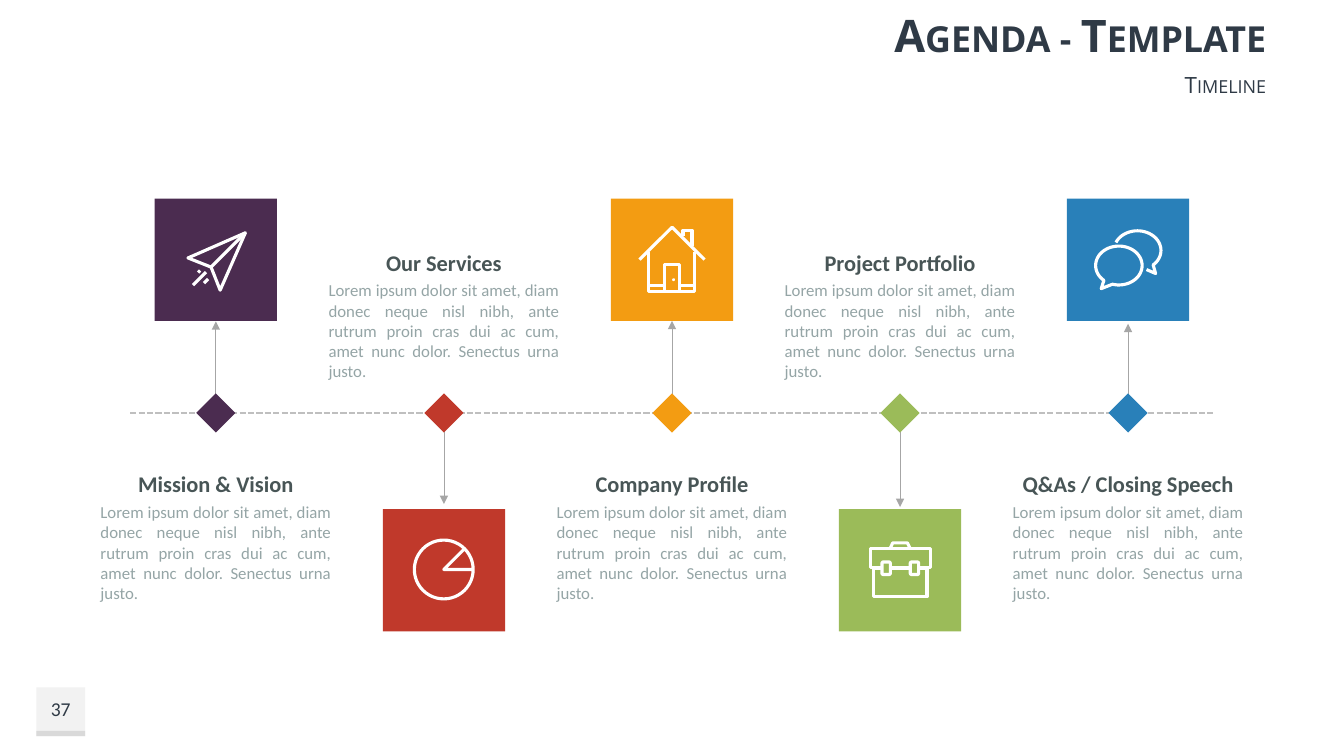
import dataclasses
import math

import lxml.etree
import pptx
import pptx.dml.color
import pptx.enum.dml
import pptx.enum.shapes
import pptx.enum.text
import pptx.oxml.ns
import pptx.util

Pt = pptx.util.Pt
SHAPE = pptx.enum.shapes.MSO_SHAPE
ALIGN = pptx.enum.text.PP_ALIGN
ANCHOR = pptx.enum.text.MSO_ANCHOR


@dataclasses.dataclass(frozen=True)
class Theme:
    title_font: str = "Open Sans"
    body_font: str = "Calibri"
    title_size: int = 32
    heading_size: int = 16
    number_size: int = 14
    body_size: int = 12
    ink: str = "2F3A46"
    heading: str = "485556"
    body: str = "95A5A6"
    axis: str = "BFBFBF"
    arrow: str = "A6A6A6"
    badge: str = "F2F2F2"
    badge_edge: str = "D9D9D9"
    icon: str = "FFFFFF"
    icon_line: float = 2.25
    purple: str = "4B2C50"
    red: str = "C0392B"
    orange: str = "F39C12"
    green: str = "9BBB59"
    blue: str = "2980B9"


def rgb(value):
    return pptx.dml.color.RGBColor.from_string(value)


def arc(center_x, center_y, radius_x, radius_y, start, end):
    angles = [math.radians(degree) for degree in range(start, end + 1, 6)]
    return [(center_x + radius_x * math.cos(angle), center_y + radius_y * math.sin(angle))
            for angle in angles]


class Page:
    def __init__(self, slide, theme):
        self.shapes = slide.shapes
        self.theme = theme

    def shape(self, kind, left, top, width, height, fill, line=None):
        box = self.shapes.add_shape(kind, Pt(left), Pt(top), Pt(width), Pt(height))
        box.shadow.inherit = False
        box.fill.solid()
        box.fill.fore_color.rgb = rgb(fill)
        if line:
            box.line.color.rgb = rgb(line)
            box.line.width = Pt(self.theme.icon_line)
        else:
            box.line.fill.background()

    def text(self, content, left, top, width, height, size, color, align, font=None,
             bold=False, small_caps=False, inset=3.6, anchor=ANCHOR.TOP, wrap=True, before=0):
        box = self.shapes.add_textbox(Pt(left), Pt(top), Pt(width), Pt(height))
        frame = box.text_frame
        frame.word_wrap = wrap
        frame.vertical_anchor = anchor
        frame.margin_left = frame.margin_right = Pt(inset)
        frame.margin_top = frame.margin_bottom = Pt(min(inset, 3.6))
        para = frame.paragraphs[0]
        para.text = content
        para.alignment = align
        para.space_before = Pt(before)
        para.font.name = font or self.theme.body_font
        para.font.size = Pt(size)
        para.font.bold = bold
        para.font.color.rgb = rgb(color)
        if small_caps:
            para.font._element.set("cap", "small")

    def line(self, start, end, color, width, dash=None, arrow=False):
        connector = self.shapes.add_connector(
            pptx.enum.shapes.MSO_CONNECTOR.STRAIGHT, *[Pt(value) for value in (*start, *end)])
        connector.line.color.rgb = rgb(color)
        connector.line.width = Pt(width)
        if dash:
            connector.line.dash_style = dash
        if arrow:
            stroke = connector.line._get_or_add_ln()
            lxml.etree.SubElement(stroke, pptx.oxml.ns.qn("a:tailEnd"), type="triangle")
        lxml.etree.SubElement(connector._element.spPr, pptx.oxml.ns.qn("a:effectLst"))

    def outline(self, origin, points, closed=False):
        corners = [(Pt(origin[0] + x), Pt(origin[1] + y)) for x, y in points]
        builder = self.shapes.build_freeform(*corners[0])
        builder.add_line_segments(corners[1:], close=closed)
        figure = builder.convert_to_shape()
        figure.shadow.inherit = False
        figure.fill.background()
        figure.line.color.rgb = rgb(self.theme.icon)
        figure.line.width = Pt(self.theme.icon_line)

    def framed(self, kind, origin, left, top, width, height, fill):
        self.shape(kind, origin[0] + left, origin[1] + top, width, height, fill, self.theme.icon)

    def plane(self, origin, fill):
        nose, fold = (64.8, 24.5), (40.3, 49)
        self.outline(origin, [nose, (23.8, 42.5), fold, (46.8, 65.5)], closed=True)
        for stroke in ([nose, fold], [(27.4, 61.9), (36.7, 52.6)],
                       [(35.3, 60.5), (38.2, 57.6)], [(31, 52.8), (32.4, 51.4)]):
            self.outline(origin, stroke)

    def pie(self, origin, fill):
        self.framed(SHAPE.OVAL, origin, 22.6, 22.2, 42, 42, fill)
        self.outline(origin, [(58, 28.8), (43.6, 43.2), (64.6, 43.2)])

    def house(self, origin, fill):
        self.outline(origin, [(27, 38), (27, 66.6), (60, 66.6), (60, 38)])
        self.outline(origin, [(20.5, 43.6), (43.8, 20.5), (67, 43.6)])
        self.outline(origin, [(51.5, 27), (51.5, 22.7), (58, 22.7), (58, 34)])
        self.outline(origin, [(27, 62.3), (60, 62.3)])
        self.framed(SHAPE.RECTANGLE, origin, 38.5, 47.2, 10.8, 19.4, fill)
        self.shape(SHAPE.OVAL, origin[0] + 43.8, origin[1] + 57, 2, 2, self.theme.icon)

    def briefcase(self, origin, fill):
        self.framed(SHAPE.RECTANGLE, origin, 24.8, 42.1, 38.2, 20.5, fill)
        self.framed(SHAPE.RECTANGLE, origin, 22.7, 28.4, 42.5, 13.7, fill)
        for left in (30.8, 51):
            self.framed(SHAPE.ROUNDED_RECTANGLE, origin, left, 37.8, 6, 9, fill)
        self.outline(origin, [(36.7, 28), (38.5, 24.2), (49, 24.2), (50.8, 28)])

    def bubbles(self, origin, fill):
        self.outline(origin, arc(37.1, 47.9, 16.6, 13.9, 130, 466) + [(24.5, 64.4)], closed=True)
        self.outline(origin, arc(50.4, 37.1, 16.8, 14, 204, 410) + [(63.4, 53.6), (56.9, 50.8)])

    def step(self, center, heading, heading_width, color, icon, tile_above, tip):
        theme = self.theme
        tile, diamond, body_width = 87.4, 28, 172
        tile_top, text_top, start = (141.8, 332.6, 283) if tile_above else (363.6, 174.2, 308.2)
        self.line((center, start), (center, tip), theme.arrow, 0.5, arrow=True)
        self.text(heading, center - heading_width / 2, text_top, heading_width, 26.6,
                  theme.heading_size, theme.heading, ALIGN.CENTER, bold=True, wrap=False)
        self.text(BODY, center - body_width / 2, text_top + 22.4, body_width, 80,
                  theme.body_size, theme.body, ALIGN.JUSTIFY)
        self.shape(SHAPE.DIAMOND, center - diamond / 2, AXIS - diamond / 2, diamond, diamond, color)
        origin = (center - tile / 2, tile_top)
        self.shape(SHAPE.RECTANGLE, *origin, tile, tile, color)
        icon(origin, color)


AXIS = 295
FIRST_CENTER = 154.2
PITCH = 162.9
BODY = ("Lorem ipsum dolor sit amet, diam donec neque nisl nibh, ante rutrum proin cras dui "
        "ac cum, amet nunc dolor. Senectus urna justo.")


def main():
    deck = pptx.Presentation()
    deck.slide_width, deck.slide_height = Pt(960), Pt(540)
    theme = Theme()
    page = Page(deck.slides.add_slide(deck.slide_layouts[6]), theme)

    page.shape(SHAPE.RECTANGLE, 26, 491, 34.8, 34.8, theme.badge)
    page.shape(SHAPE.RECTANGLE, 26, 522, 34.8, 3.8, theme.badge_edge)
    page.text("37", 26, 491, 34.8, 31, theme.number_size, theme.ink, ALIGN.CENTER,
              inset=0, anchor=ANCHOR.MIDDLE)
    page.text("Agenda - Template", 306, 0, 605.5, 49, theme.title_size, theme.ink, ALIGN.RIGHT,
              theme.title_font, bold=True, small_caps=True, inset=7.2, anchor=ANCHOR.MIDDLE)
    page.text("Timeline", 306, 49, 605.5, 22.4, theme.heading_size, theme.ink, ALIGN.RIGHT,
              theme.title_font, small_caps=True, inset=7.2, anchor=ANCHOR.MIDDLE, before=3.2)

    page.line((93, AXIS), (867, AXIS), theme.axis, 1.5, pptx.enum.dml.MSO_LINE.SQUARE_DOT)
    steps = [
        ("Mission & Vision", 119.6, theme.purple, page.plane, 229.6),
        ("Our Services", 91.6, theme.red, page.pie, 360),
        ("Company Profile", 118, theme.orange, page.house, 229.2),
        ("Project Portfolio", 117.4, theme.green, page.briefcase, 362.2),
        ("Q&As / Closing Speech", 160, theme.blue, page.bubbles, 231.2),
    ]
    for index, (heading, width, color, icon, tip) in enumerate(steps):
        page.step(FIRST_CENTER + index * PITCH, heading, width, color, icon, index % 2 == 0, tip)

    deck.save("out.pptx")


if __name__ == "__main__":
    main()
